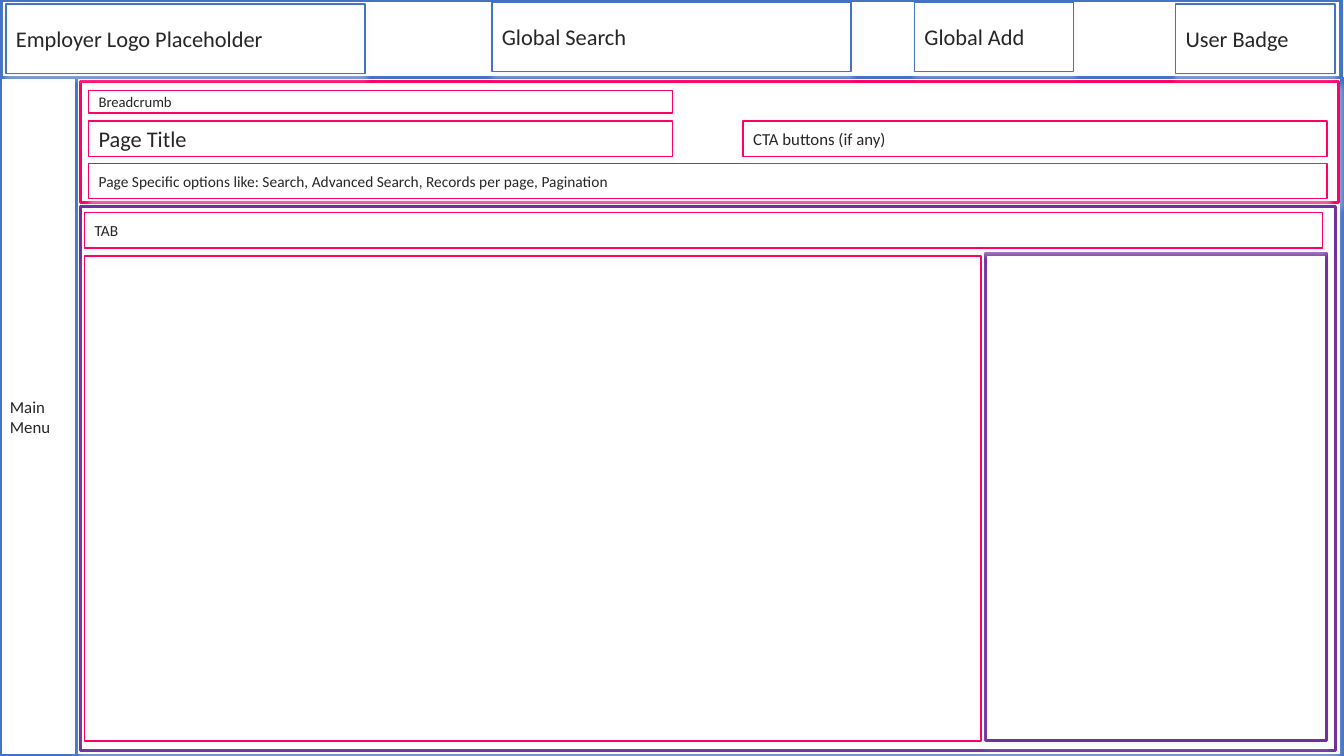
from lxml import etree
from pptx import Presentation
from pptx import util as u
from pptx.dml.color import RGBColor
from pptx.enum import shapes, text
from pptx.oxml import ns

PX = 9144
COLORS = {
    "paper": "FFFFFF",
    "ink": "262626",
    "shell": "4472C4",
    "page": "FF0066",
    "content": "7030A0",
    "shadow": "F2F2F2",
}
THICK, THIN = 2.25, 1


def rgb(name):
    return RGBColor.from_string(COLORS[name])


def write(frame, label, size=16, font="Calibri", color="ink"):
    frame.word_wrap = True
    frame.vertical_anchor = text.MSO_ANCHOR.MIDDLE
    paragraph = frame.paragraphs[0]
    paragraph.alignment = text.PP_ALIGN.LEFT
    run = paragraph.add_run()
    run.text = label
    run.font.size = u.Pt(size)
    run.font.name = font
    run.font.color.rgb = rgb(color)


class Wireframe:
    def __init__(self, width, height):
        self.deck = Presentation()
        self.deck.slide_width = width * PX
        self.deck.slide_height = height * PX
        self.slide = self.deck.slides.add_slide(self.deck.slide_layouts[6])

    def region(self, left, top, width, height, color, weight=THICK, filled=True):
        box = self.slide.shapes.add_shape(
            shapes.MSO_SHAPE.RECTANGLE, *(n * PX for n in (left, top, width, height)))
        if filled:
            box.fill.solid()
            box.fill.fore_color.rgb = rgb("paper")
        else:
            box.fill.background()
        box.line.color.rgb = rgb(color)
        box.line.width = u.Pt(weight)
        self.soft_shadow(box)
        return box

    def field(self, left, top, width, height, color, label, size, weight=THIN):
        box = self.region(left, top, width, height, color, weight)
        write(box.text_frame, label, size=size)

    def soft_shadow(self, box):
        box.shadow.inherit = False
        effects = box.element.spPr.find(ns.qn("a:effectLst"))
        shadow = etree.SubElement(
            effects, ns.qn("a:outerShdw"), blurRad=str(u.Pt(4)), dist=str(u.Pt(3)),
            dir="5400000", algn="t", rotWithShape="0")
        tint = etree.SubElement(shadow, ns.qn("a:srgbClr"), val=COLORS["shadow"])
        etree.SubElement(tint, ns.qn("a:alpha"), val="40000")

    def save(self):
        self.deck.save("out.pptx")


def main():
    page = Wireframe(1333, 750)

    page.region(1, 0, 1329, 77, "shell")
    page.field(0, 77, 76, 673, "shell", "Main Menu", 12, THICK)
    page.region(76, 77, 1255, 673, "shell", filled=False)

    page.region(80, 81, 1248, 120, "page")
    options = "Page Specific options like: Search, Advanced Search, Records per page, Pagination"
    for left, top, width, height, label, size in (
        (88, 90, 579, 22, "Breadcrumb", 10.5),
        (88, 120, 579, 35, "Page Title", 16),
        (88, 162, 1228, 35, options, 11),
        (737, 120, 579, 35, "CTA buttons (if any)", 12),
    ):
        page.field(left, top, width, height, "page", label, size)

    for left, top, width, label in (
        (6, 4, 356, "Employer Logo Placeholder"),
        (488, 2, 356, "Global Search"),
        (907, 2, 158, "Global Add"),
        (1166, 4, 158, "User Badge"),
    ):
        page.field(left, top, width, 69, "shell", label, 16)

    page.region(80, 205, 1245, 540, "content")
    page.region(977, 252, 339, 483, "content")
    page.field(84, 211, 1228, 35, "page", "TAB", 11)
    page.region(84, 254, 889, 481, "page", THIN)

    page.save()


if __name__ == "__main__":
    main()
